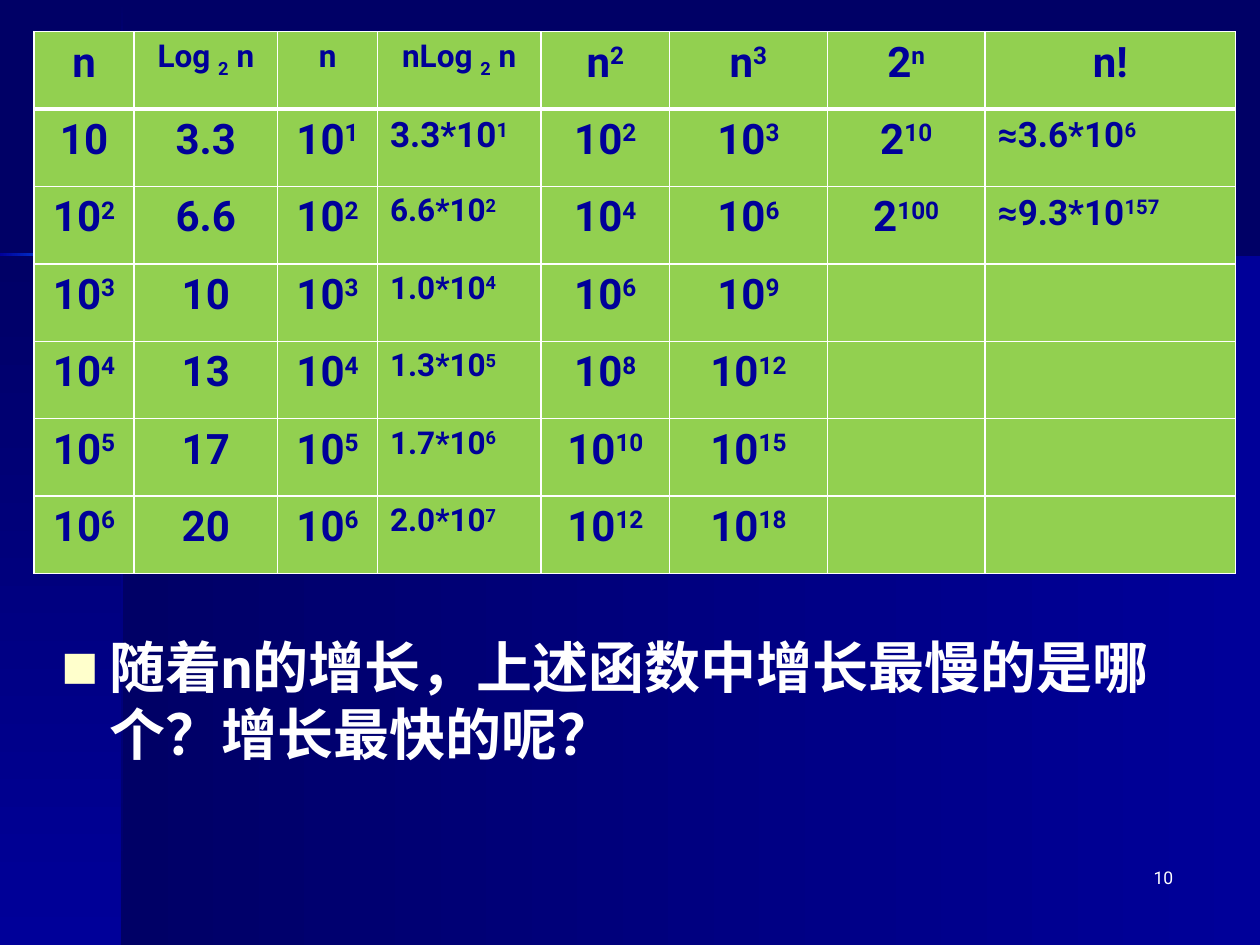
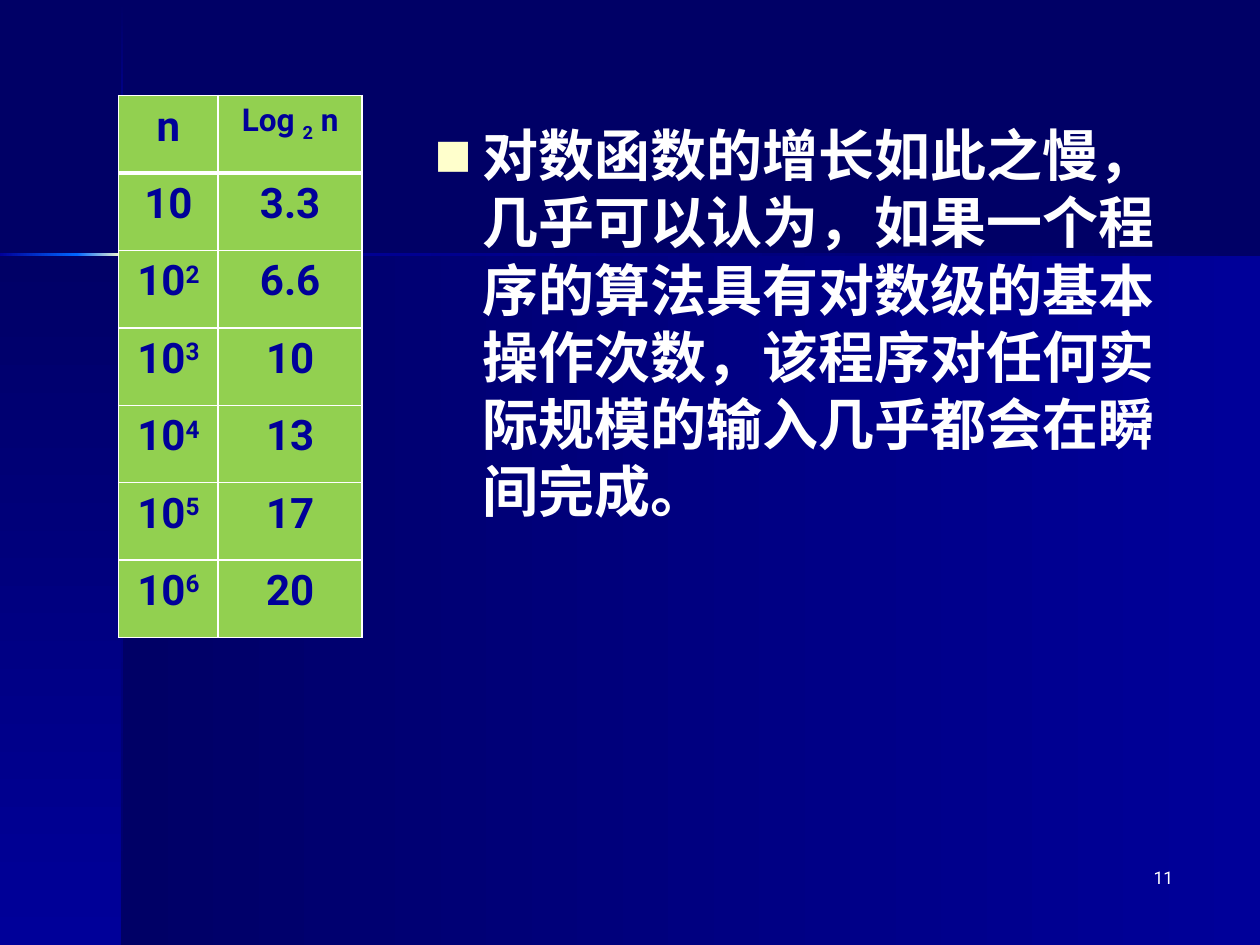
import itertools

import pptx
import pptx.dml.color
import pptx.enum.lang
import pptx.enum.shapes
import pptx.enum.text
import pptx.oxml
import pptx.oxml.ns
import pptx.util

Cm = pptx.util.Cm
Pt = pptx.util.Pt
RGB = pptx.dml.color.RGBColor
ALIGN = pptx.enum.text.PP_ALIGN

NIGHT = RGB(0x00, 0x00, 0x66)
BLUE = RGB(0x00, 0x00, 0x99)
GLOW = RGB(0x00, 0x66, 0xFF)
CREAM = RGB(0xFF, 0xFF, 0xCC)
GREEN = RGB(0x92, 0xD0, 0x50)
WHITE = RGB(0xFF, 0xFF, 0xFF)

FACE = "Roboto"
WIDE, HIGH = 25.4, 19.05
FADES = [(NIGHT, BLUE), (BLUE, GLOW), (GLOW, CREAM, GLOW), (GLOW, BLUE), (BLUE, NIGHT)]
DOWN = [0.03, 3.07, 4.19, 6.05, 7.16, HIGH]
ACROSS = [0, 1.55, 3.38, 4.5, WIDE]

COLS = [2.01, 2.9, 2.01, 3.3, 2.59, 3.18, 3.18, 5.05]
ROW = 1.56
GROWTH = [
    ["n", "Log _2_ n", "n", "nLog _2_ n", "n^2", "n^3", "2^n", "n!"],
    ["10", "3.3", "10^1", "3.3*10^1", "10^2", "10^3", "2^10", "≈3.6*10^6"],
    ["10^2", "6.6", "10^2", "6.6*10^2", "10^4", "10^6", "2^100", "≈9.3*10^157"],
    ["10^3", "10", "10^3", "1.0*10^4", "10^6", "10^9", "", ""],
    ["10^4", "13", "10^4", "1.3*10^5", "10^8", "10^12", "", ""],
    ["10^5", "17", "10^5", "1.7*10^6", "10^10", "10^15", "", ""],
    ["10^6", "20", "10^6", "2.0*10^7", "10^12", "10^18", "", ""],
]
SHIFT = {"^": "30000", "_": "-25000"}

CELL = {"name": FACE, "bold": True}
BODY = {
    "name": FACE,
    "bold": True,
    "size": Pt(32),
    "language_id": pptx.enum.lang.MSO_LANGUAGE_ID.SIMPLIFIED_CHINESE,
}
FOOT = {"name": FACE, "size": Pt(10)}


def put(thing, form):
    for key, value in form.items():
        setattr(thing, key, value)


def node(tag, inner="", **attrs):
    text = "".join(f' {key}="{value}"' for key, value in attrs.items())
    space = pptx.oxml.ns.nsdecls("a")
    return pptx.oxml.parse_xml(f"<a:{tag} {space}{text}>{inner}</a:{tag}>")


def solid(color):
    return f'<a:solidFill><a:srgbClr val="{color}"/></a:solidFill>'


def write(para, text, form, color):
    run = para.add_run()
    run.text = text
    put(run.font, form)
    run.font.fill.solid()
    run.font.fill.fore_color.rgb = color
    return run


def band(slide, box, tones, angle):
    shape = slide.shapes.add_shape(
        pptx.enum.shapes.MSO_SHAPE.RECTANGLE, *map(Cm, box)
    )
    step = 100000 // (len(tones) - 1)
    stops = "".join(
        f'<a:gs pos="{spot * step}"><a:srgbClr val="{tone}"/></a:gs>'
        for spot, tone in enumerate(tones)
    )
    turn = f'<a:lin ang="{angle * 60000}" scaled="0"/>'
    shape._element.spPr.append(node("gradFill", f"<a:gsLst>{stops}</a:gsLst>{turn}"))
    shape.line.fill.background()
    shape.shadow.inherit = False


def backdrop(slide):
    slide.background.fill.solid()
    slide.background.fill.fore_color.rgb = NIGHT
    left, top, thin = 2.46, 5.13, 0.05
    band(slide, (left, top, WIDE - left, HIGH - top), (NIGHT, BLUE), 0)
    band(slide, (0, top, left, HIGH - top), (NIGHT, BLUE), 90)
    for (start, end), tones in zip(itertools.pairwise(DOWN), FADES):
        band(slide, (left - 0.02, start, thin, end - start), tones, 90)
    for (start, end), tones in zip(itertools.pairwise(ACROSS), FADES[1:]):
        band(slide, (start, top - 0.02, end - start, thin), tones, 0)


def frame(slide, box):
    text = slide.shapes.add_textbox(*map(Cm, box)).text_frame
    text.word_wrap = True
    return text.paragraphs[0]


def footer(slide, number):
    para = frame(slide, (18.62, 17.35, 5.28, 1.27))
    para.alignment = ALIGN.RIGHT
    write(para, str(number), FOOT, WHITE)


def bullet(slide, box, text):
    para = frame(slide, box)
    props = para._p.get_or_add_pPr()
    indent = Cm(0.96)
    props.set("marL", str(indent))
    props.set("indent", str(-indent))
    props.append(node("buClr", f'<a:srgbClr val="{CREAM}"/>'))
    props.append(node("buSzPct", val="70000"))
    props.append(node("buFont", typeface=FACE))
    props.append(node("buChar", char="■"))
    run = write(para, text, BODY, WHITE)
    run._r.get_or_add_rPr().append(node("ea", typeface=FACE))


def style(row, col):
    if row == 0:
        return (18 if 1 <= col <= 3 else 24), ALIGN.CENTER
    if col == 3:
        return (20 if row == 1 else 18), ALIGN.LEFT
    if col == 7:
        return 20, ALIGN.LEFT
    return 24, ALIGN.CENTER


def fill(cell, text, row, col):
    size, align = style(row, col)
    weight = {"L": 1, "R": 1, "T": 3 if row == 1 else 1, "B": 3 if row == 0 else 1}
    props = cell._tc.get_or_add_tcPr()
    for side, width in weight.items():
        props.append(node(f"ln{side}", solid(WHITE), w=Pt(width)))
    cell.fill.solid()
    cell.fill.fore_color.rgb = GREEN
    para = cell.text_frame.paragraphs[0]
    para.alignment = align
    if not text:
        return
    mark = "_" if "_" in text else "^"
    for spot, part in enumerate(text.split(mark)):
        run = write(para, part, {**CELL, "size": Pt(size)}, BLUE)
        if spot % 2:
            run._r.get_or_add_rPr().set("baseline", SHIFT[mark])


def grid(slide, left, top, count):
    widths = COLS[:count]
    box = (left, top, sum(widths), ROW * len(GROWTH))
    table = slide.shapes.add_table(len(GROWTH), count, *map(Cm, box)).table
    put(table, {"first_row": False, "horz_banding": False})
    for col, width in zip(table.columns, widths):
        col.width = Cm(width)
    for row, texts in enumerate(GROWTH):
        table.rows[row].height = Cm(ROW)
        for col, text in enumerate(texts[:count]):
            fill(table.cell(row, col), text, row, col)


def compare(slide):
    grid(slide, 0.69, 0.64, len(COLS))
    bullet(
        slide,
        (0.99, 12.62, 23.22, 4.5),
        "随着n的增长，上述函数中增长最慢的是哪个？增长最快的呢？",
    )


def logs(slide):
    bullet(
        slide,
        (8.51, 2.31, 15.7, 10.59),
        "对数函数的增长如此之慢，几乎可以认为，如果一个程序的算法具有对数级的"
        "基本操作次数，该程序对任何实际规模的输入几乎都会在瞬间完成。",
    )
    grid(slide, 2.39, 1.93, 2)


def main():
    deck = pptx.Presentation()
    put(deck, {"slide_width": Cm(WIDE), "slide_height": Cm(HIGH)})
    for number, build in enumerate((compare, logs), 10):
        slide = deck.slides.add_slide(deck.slide_layouts[6])
        backdrop(slide)
        build(slide)
        footer(slide, number)
    deck.save("out.pptx")


if __name__ == "__main__":
    main()
